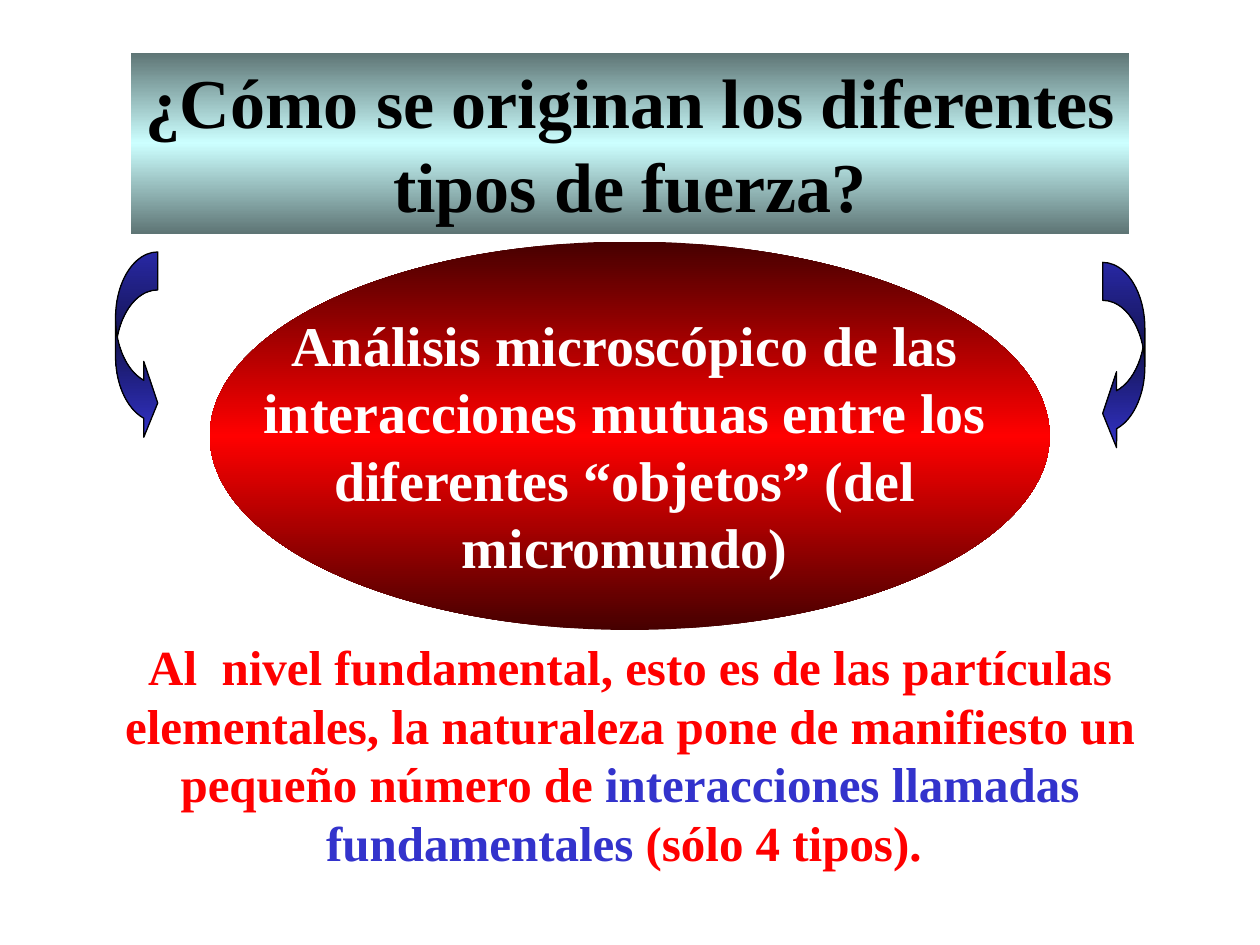
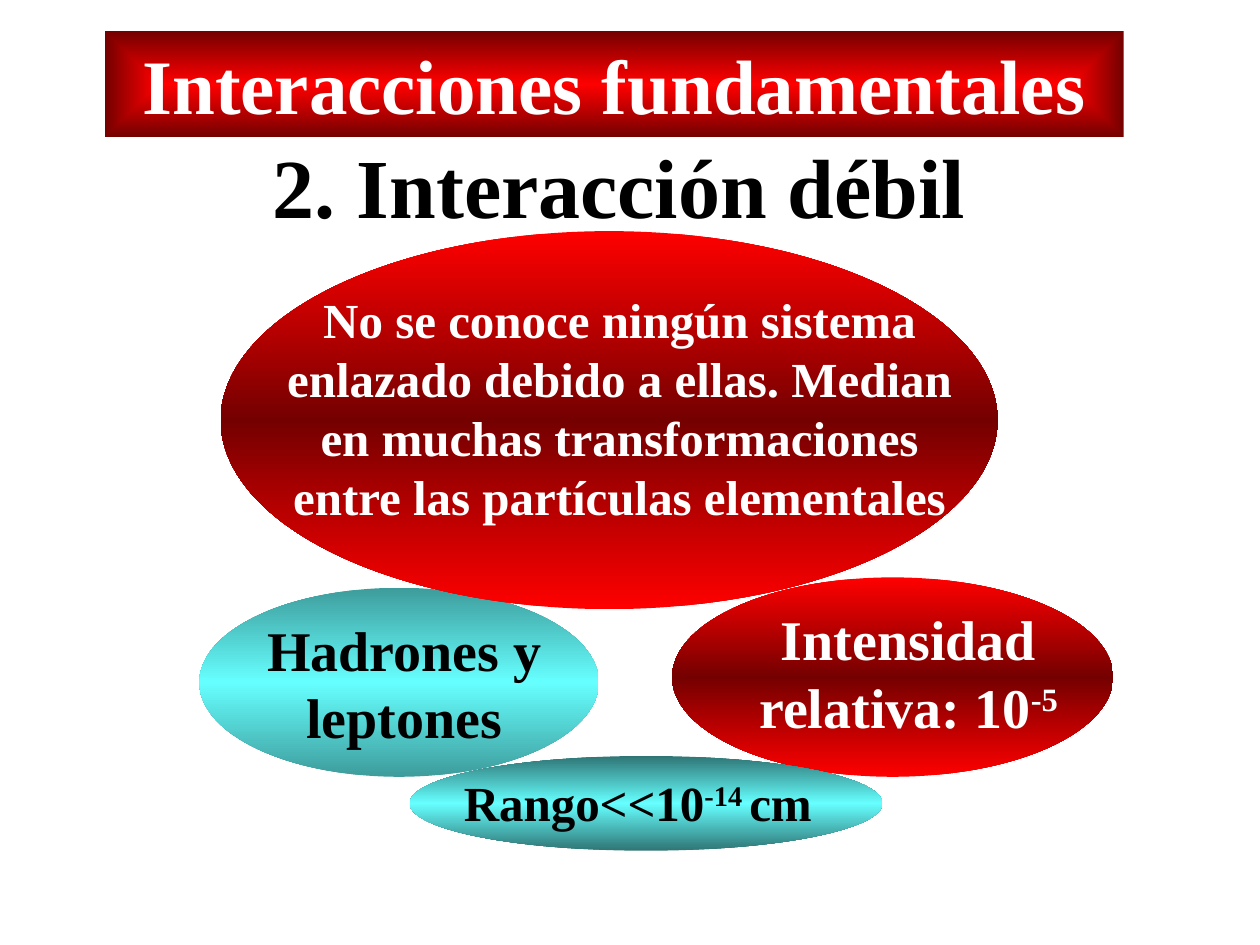
import pptx
import pptx.dml.color
import pptx.enum.shapes
import pptx.enum.text
import pptx.oxml
import pptx.oxml.ns
import pptx.util

Cm = pptx.util.Cm
Pt = pptx.util.Pt
RGB = pptx.dml.color.RGBColor
Kind = pptx.enum.shapes.MSO_SHAPE
Align = pptx.enum.text.PP_ALIGN
Anchor = pptx.enum.text.MSO_ANCHOR
qn = pptx.oxml.ns.qn

FONT = "Times New Roman"
BLACK = RGB(0x00, 0x00, 0x00)
WHITE = RGB(0xFF, 0xFF, 0xFF)
RED = RGB(0xFF, 0x00, 0x00)
WINE = RGB(0x75, 0x00, 0x00)
MAROON = RGB(0x46, 0x00, 0x00)
BLUE = RGB(0x33, 0x33, 0xCC)
NAVY = RGB(0x17, 0x17, 0x5E)
ICE = RGB(0xCC, 0xFF, 0xFF)
SLATE = RGB(0x5E, 0x75, 0x75)
CYAN = RGB(0x66, 0xFF, 0xFF)
TEAL = RGB(0x3E, 0x9C, 0x9C)
PINE = RGB(0x2F, 0x75, 0x75)

DOWN = '<a:lin ang="5400000" scaled="1"/>'
INWARD = ('<a:path path="rect"><a:fillToRect l="50000" t="50000" '
          'r="50000" b="50000"/></a:path>')


def shade(shape, colors, flow=DOWN):
    """Fill with evenly spaced gradient stops."""
    shape.fill.gradient()
    last = len(colors) - 1
    stops = "".join(
        f'<a:gs pos="{100000 * i // last}"><a:srgbClr val="{color}"/></a:gs>'
        for i, color in enumerate(colors))
    new = pptx.oxml.parse_xml(
        f'<a:gradFill {pptx.oxml.ns.nsdecls("a")} rotWithShape="1">'
        f'<a:gsLst>{stops}</a:gsLst>{flow}</a:gradFill>')
    props = shape._element.spPr
    props.replace(props.find(qn("a:gradFill")), new)


def place(shape, box):
    shape.left, shape.top, shape.width, shape.height = map(Cm, box)


def write(shape, text, size, color, align=Align.CENTER):
    """Write a string, or a list of (text, font settings) runs."""
    frame = shape.text_frame
    frame.word_wrap = True
    frame.auto_size = pptx.enum.text.MSO_AUTO_SIZE.NONE
    frame.vertical_anchor = Anchor.TOP
    par = frame.paragraphs[0]
    par.alignment = align
    par.space_before = Pt(0)
    parts = [(text, {})] if isinstance(text, str) else text
    for words, look in parts:
        run = par.add_run()
        run.text = words
        font = run.font
        font.name, font.size, font.bold = FONT, Pt(size), True
        font.color.rgb = look.get("color", color)
        if look.get("power"):
            run._r.get_or_add_rPr().set("baseline", "30000")


def band(slide, box, text, size, color, colors, flow=DOWN):
    """Title on a shaded band."""
    title = slide.shapes.title
    place(title, box)
    shade(title, colors, flow)
    write(title, text, size, color)


def body(slide, box, text, size, color):
    """Body text without a bullet."""
    holder = slide.placeholders[1]
    place(holder, box)
    write(holder, text, size, color)
    props = holder.text_frame.paragraphs[0]._p.get_or_add_pPr()
    props.set("marL", "0")
    props.set("indent", "0")
    props.append(pptx.oxml.parse_xml(
        f'<a:buNone {pptx.oxml.ns.nsdecls("a")}/>'))


def draw(slide, kind, box, colors):
    shape = slide.shapes.add_shape(kind, *map(Cm, box))
    shape.shadow.inherit = False
    shape.line.fill.background()
    shade(shape, colors)
    return shape


def bubble(slide, oval, colors, box, text, size, color, align=Align.CENTER):
    """Shaded oval with a text box over it."""
    draw(slide, Kind.OVAL, oval, colors)
    label = slide.shapes.add_textbox(*map(Cm, box))
    write(label, text, size, color, align)


def arrow(slide, kind, left, top):
    shape = draw(slide, kind, (left, top, 0.85, 3.81), (BLUE, NAVY, BLUE))
    shape.line.color.rgb = BLACK
    shape.line.width = Pt(0.75)
    for i, value in enumerate((0.9, 1.8, 0.33)):
        shape.adjustments[i] = value


def origin(slide):
    band(slide, (2.64, 1.06, 20.12, 3.65),
         "¿Cómo se originan los diferentes tipos de fuerza?",
         40, BLACK, (SLATE, ICE, SLATE))
    body(slide, (1.69, 12.7, 22.02, 5),
         [("Al  nivel fundamental, esto es de las partículas elementales, "
           "la naturaleza pone de manifiesto un pequeño número de ", {}),
          ("interacciones llamadas fundamentales", {"color": BLUE}),
          (" (sólo 4 tipos). ", {})], 28, RED)
    bubble(slide, (4.23, 4.87, 16.93, 7.83), (MAROON, RED, MAROON),
           (4.45, 6.14, 16.3, 5.69),
           "Análisis microscópico de las interacciones mutuas entre los "
           "diferentes “objetos” (del micromundo)", 32, WHITE)
    arrow(slide, Kind.CURVED_RIGHT_ARROW, 2.33, 5.08)
    arrow(slide, Kind.CURVED_LEFT_ARROW, 22.23, 5.29)


def weak(slide):
    band(slide, (2.12, 0.63, 20.53, 2.13), "Interacciones fundamentales",
         44, WHITE, (RED, WINE), INWARD)
    body(slide, (1.69, 2.59, 21.59, 2.29), "2. Interacción débil", 48, BLACK)
    bubble(slide, (4.02, 11.85, 8.05, 3.81), (TEAL, CYAN, TEAL),
           (3.39, 12.28, 9.53, 2.97), "Hadrones y leptones", 32, BLACK)
    bubble(slide, (4.45, 4.66, 15.66, 7.62), (RED, WINE, RED),
           (5.29, 5.72, 14.4, 5),
           "No se conoce ningún sistema enlazado debido a ellas. Median en "
           "muchas transformaciones entre las partículas elementales",
           28, WHITE)
    bubble(slide, (13.55, 11.64, 8.89, 4.02), (RED, WINE, RED),
           (13.55, 12.07, 9.53, 2.97),
           [("Intensidad relativa: 10", {}), ("-5", {"power": True})],
           32, WHITE)
    bubble(slide, (8.26, 15.24, 9.53, 1.91), (PINE, CYAN, PINE),
           (9.1, 15.45, 8.26, 1.45),
           [("Rango<<10", {}), ("-14 ", {"power": True}), ("cm", {})],
           28, BLACK, Align.LEFT)


def main():
    deck = pptx.Presentation()
    deck.slide_width, deck.slide_height = Cm(25.4), Cm(19.05)
    for fill in (origin, weak):
        fill(deck.slides.add_slide(deck.slide_layouts[1]))
    deck.save("out.pptx")


if __name__ == "__main__":
    main()
